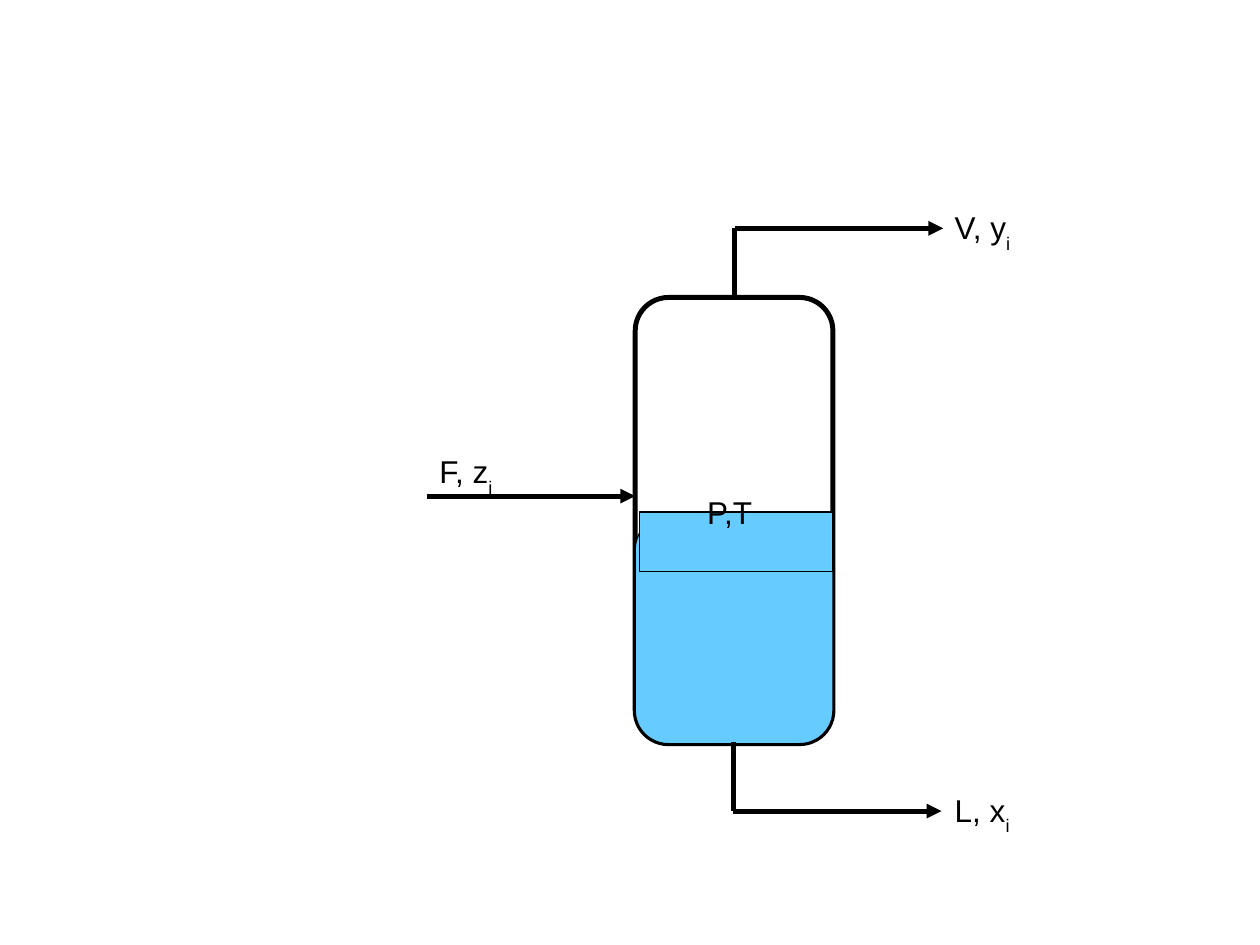
from lxml import etree
from pptx import Presentation
from pptx.dml.color import RGBColor
from pptx.enum import shapes as kinds
from pptx.oxml import ns
from pptx.util import Pt

BLACK, WHITE, WATER = "000000", "FFFFFF", "66CCFF"
PIPE = 2.83
KIND = kinds.MSO_SHAPE


def color(hue):
    """Turn a hex string into a colour."""
    return RGBColor.from_string(hue)


def format_all(obj, values):
    """Set each named value on an object."""
    for name, value in values.items():
        setattr(obj, name, value)


def block(slide, kind, box, fill, width, radius=None):
    """Draw a filled, outlined shape in a box."""
    shape = slide.shapes.add_shape(kind, *map(Pt, box))
    shape.shadow.inherit = False
    shape.fill.solid()
    shape.fill.fore_color.rgb = color(fill)
    shape.line.color.rgb = color(BLACK)
    shape.line.width = Pt(width)
    if radius:
        shape.adjustments[0] = radius / min(box[2:])


def pipe(slide, start, end, arrow=False):
    """Draw a straight pipe, with an arrowhead if asked."""
    line = slide.shapes.add_connector(
        kinds.MSO_CONNECTOR.STRAIGHT, *map(Pt, (*start, *end)))
    line.line.color.rgb = color(BLACK)
    line.line.width = Pt(PIPE)
    props = line._element.spPr
    if arrow:
        etree.SubElement(props.find(ns.qn("a:ln")), ns.qn("a:tailEnd"), type="triangle")
    etree.SubElement(props, ns.qn("a:effectLst"))


def label(slide, box, main, sub=""):
    """Write a label with an optional subscript."""
    frame = slide.shapes.add_textbox(*map(Pt, box)).text_frame
    format_all(frame, {
        "word_wrap": True,
        "margin_left": Pt(7.2), "margin_right": Pt(7.2),
        "margin_top": Pt(3.6), "margin_bottom": Pt(3.6)})
    for part in filter(None, (main, sub)):
        run = frame.paragraphs[0].add_run()
        run.text = part
        format_all(run.font, {"name": "Arial", "size": Pt(18)})
        run.font.color.rgb = color(BLACK)
        if part == sub:
            run.font._element.set("baseline", "-33000")


def drum(slide, box):
    """Draw the vessel and its liquid."""
    left, top, width, height = box
    level = 125
    block(slide, KIND.ROUNDED_RECTANGLE, box, WHITE, PIPE, 19)
    block(slide, KIND.ROUNDED_RECTANGLE,
          (left, top + level, width, height - level), WATER, 0.75, 19)
    block(slide, KIND.RECTANGLE,
          (left + 2.5, top + level - 2.5, width - 2.5, 34), WATER, 0.75)


def streams(slide, box):
    """Draw the feed and the two outlets around the vessel."""
    left, top, width, height = box
    reach, rise = 119, 39.5
    feed = top + 113.5
    outlets = (
        (left + 57, top, top - rise, "V, y"),
        (left + 56, top + height - 1, top + height + rise - 1, "L, x"))
    for x, wall, bend, name in outlets:
        pipe(slide, (x, wall), (x, bend))
        pipe(slide, (x, bend), (x + reach, bend), True)
        label(slide, (left + 175.5, bend - 15, 50, 32), name, "i")
    pipe(slide, (left - reach, feed), (left, feed), True)
    label(slide, (left - reach, feed - 28.5, 50, 32), "F, z", "i")
    label(slide, (left + 34, feed - 5.5, 44, 27), "P,T")


def main():
    """Build and save the flash drum slide."""
    deck = Presentation()
    format_all(deck, {"slide_width": Pt(720), "slide_height": Pt(540)})
    slide = deck.slides.add_slide(deck.slide_layouts[6])
    tank = (363, 170, 113, 255)
    drum(slide, tank)
    streams(slide, tank)
    deck.save("out.pptx")


main()
